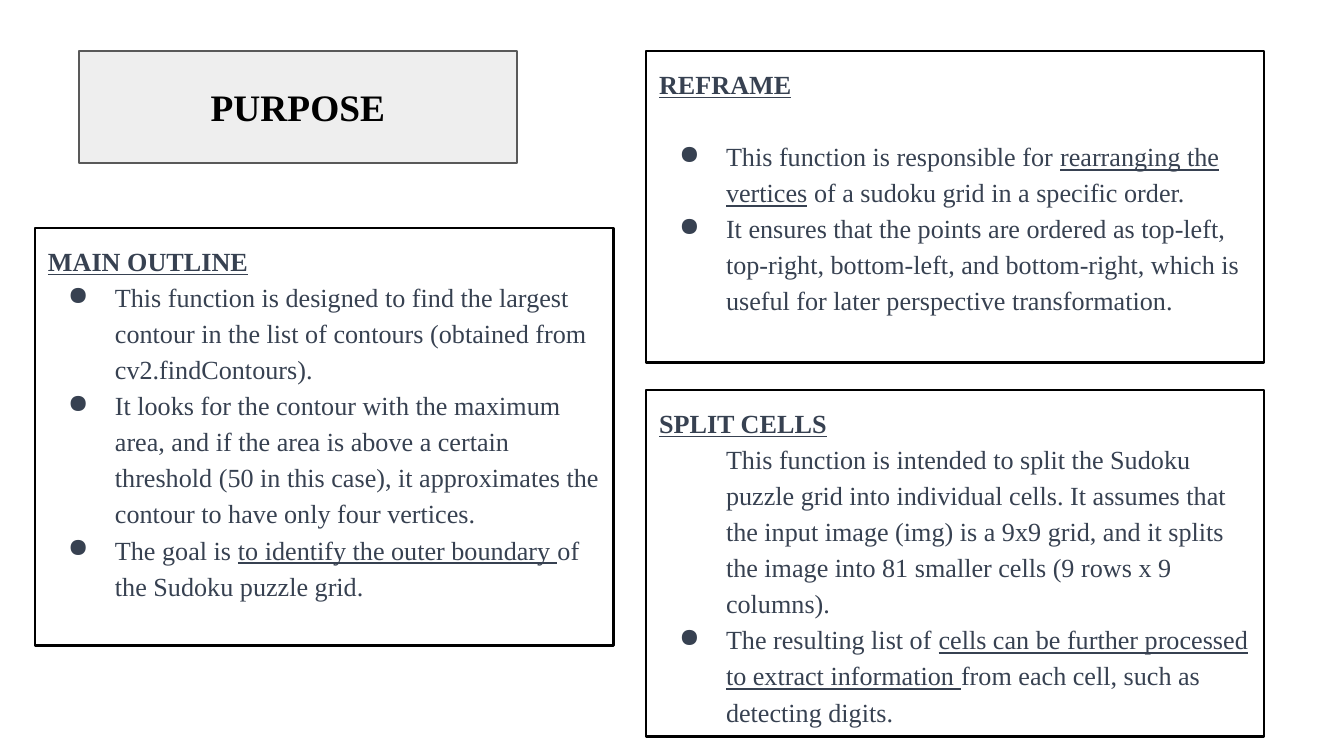
from dataclasses import dataclass

from lxml import etree
from pptx import Presentation
from pptx.dml.color import RGBColor
from pptx.enum.shapes import MSO_SHAPE
from pptx.enum.text import MSO_ANCHOR, MSO_AUTO_SIZE, PP_ALIGN
from pptx.oxml.ns import qn
from pptx.util import Pt

RECTANGLE = MSO_SHAPE.RECTANGLE
TOP, MIDDLE = MSO_ANCHOR.TOP, MSO_ANCHOR.MIDDLE
LEFT, CENTER = PP_ALIGN.LEFT, PP_ALIGN.CENTER
NO_AUTOFIT = MSO_AUTO_SIZE.NONE
TITLE_ONLY = 5
SLIDE_W, SLIDE_H = 1344, 756
EMU_PER_PX = 9144000 / SLIDE_W


@dataclass(frozen=True)
class Theme:
    font: str = "Times New Roman"
    title_size: int = 20
    body_size: int = 14
    line_spacing: float = 1.15
    title_color: str = "000000"
    title_fill: str = "EEEEEE"
    title_line: str = "595959"
    body_color: str = "374151"
    panel_line: str = "000000"
    inset: int = 13
    indent: int = 67
    hanging: int = 47


@dataclass(frozen=True)
class Box:
    left: int
    top: int
    width: int
    height: int


@dataclass(frozen=True)
class Span:
    text: str
    underlined: bool = False


@dataclass(frozen=True)
class Point:
    spans: tuple[Span, ...]
    bulleted: bool = True


@dataclass(frozen=True)
class Panel:
    heading: str
    box: Box
    points: tuple[Point, ...]
    heading_gap: float = 0


THEME = Theme()

PANELS = (
    Panel("MAIN OUTLINE", Box(35, 228, 579, 418), (
        Point((Span("This function is designed to find the largest contour in the list "
                    "of contours (obtained from cv2.findContours)."),)),
        Point((Span("It looks for the contour with the maximum area, and if the area is "
                    "above a certain threshold (50 in this case), it approximates the "
                    "contour to have only four vertices."),)),
        Point((Span("The goal is "),
               Span("to identify the outer boundary ", True),
               Span("of the Sudoku puzzle grid."))),
    )),
    Panel("REFRAME", Box(646, 51, 618, 312), (
        Point((Span("This function is responsible for "),
               Span("rearranging the vertices", True),
               Span(" of a sudoku grid in a specific order."))),
        Point((Span("It ensures that the points are ordered as top-left, top-right, "
                    "bottom-left, and bottom-right, which is useful for later "
                    "perspective transformation."),)),
    ), heading_gap=19.3),
    Panel("SPLIT CELLS", Box(646, 390, 618, 347), (
        Point((Span("This function is intended to split the Sudoku puzzle grid into "
                    "individual cells. It assumes that the input image (img) is a 9x9 "
                    "grid, and it splits the image into 81 smaller cells (9 rows x 9 "
                    "columns)."),), bulleted=False),
        Point((Span("The resulting list of "),
               Span("cells can be further processed to extract information ", True),
               Span("from each cell, such as detecting digits."))),
    )),
)


def px(length: int) -> int:
    return round(length * EMU_PER_PX)


def rgb(color: str) -> RGBColor:
    return RGBColor.from_string(color)


def place(shape, box: Box) -> None:
    shape.left, shape.top = px(box.left), px(box.top)
    shape.width, shape.height = px(box.width), px(box.height)


def outline(shape, color: str, width: float) -> None:
    shape.line.color.rgb = rgb(color)
    shape.line.width = Pt(width)


def prepare_text(frame, anchor) -> None:
    frame.word_wrap = True
    frame.auto_size = NO_AUTOFIT
    frame.vertical_anchor = anchor
    frame.margin_left = frame.margin_right = px(THEME.inset)
    frame.margin_top = frame.margin_bottom = px(THEME.inset)


def style_font(font, size: int, color: str, bold: bool) -> None:
    font.name = THEME.font
    font.size = Pt(size)
    font.bold = bold
    font.color.rgb = rgb(color)


def style_body(paragraph, bold: bool) -> None:
    paragraph.alignment = LEFT
    paragraph.line_spacing = THEME.line_spacing
    style_font(paragraph.font, THEME.body_size, THEME.body_color, bold)


def indent(paragraph, bulleted: bool) -> None:
    properties = paragraph._p.get_or_add_pPr()
    properties.set("marL", str(px(THEME.indent)))
    properties.set("indent", str(-px(THEME.hanging) if bulleted else 0))
    if bulleted:
        bullet_color = etree.SubElement(properties, qn("a:buClr"))
        etree.SubElement(bullet_color, qn("a:srgbClr"), val=THEME.body_color)
        etree.SubElement(properties, qn("a:buChar"), char="●")


def draw_title(slide, text: str, box: Box) -> None:
    title = slide.shapes.title
    place(title, box)
    title.fill.solid()
    title.fill.fore_color.rgb = rgb(THEME.title_fill)
    outline(title, THEME.title_line, 0.75)
    prepare_text(title.text_frame, MIDDLE)
    paragraph = title.text_frame.paragraphs[0]
    paragraph.text = text
    paragraph.alignment = CENTER
    style_font(paragraph.font, THEME.title_size, THEME.title_color, True)


def draw_point(frame, point: Point) -> None:
    paragraph = frame.add_paragraph()
    indent(paragraph, point.bulleted)
    style_body(paragraph, False)
    for span in point.spans:
        run = paragraph.add_run()
        run.text = span.text
        if span.underlined:
            run.font.underline = True


def draw_panel(slide, panel: Panel) -> None:
    frame_box = slide.shapes.add_shape(RECTANGLE, 0, 0, 0, 0)
    place(frame_box, panel.box)
    frame_box.shadow.inherit = False
    frame_box.fill.background()
    outline(frame_box, THEME.panel_line, 1.5)
    frame = frame_box.text_frame
    prepare_text(frame, TOP)
    heading = frame.paragraphs[0]
    heading.text = panel.heading
    style_body(heading, True)
    heading.font.underline = True
    if panel.heading_gap:
        heading.space_after = Pt(panel.heading_gap)
    for point in panel.points:
        draw_point(frame, point)


def main() -> None:
    deck = Presentation()
    deck.slide_width, deck.slide_height = px(SLIDE_W), px(SLIDE_H)
    slide = deck.slides.add_slide(deck.slide_layouts[TITLE_ONLY])
    draw_title(slide, "PURPOSE", Box(79, 51, 438, 112))
    for panel in PANELS:
        draw_panel(slide, panel)
    deck.save("out.pptx")


if __name__ == "__main__":
    main()
